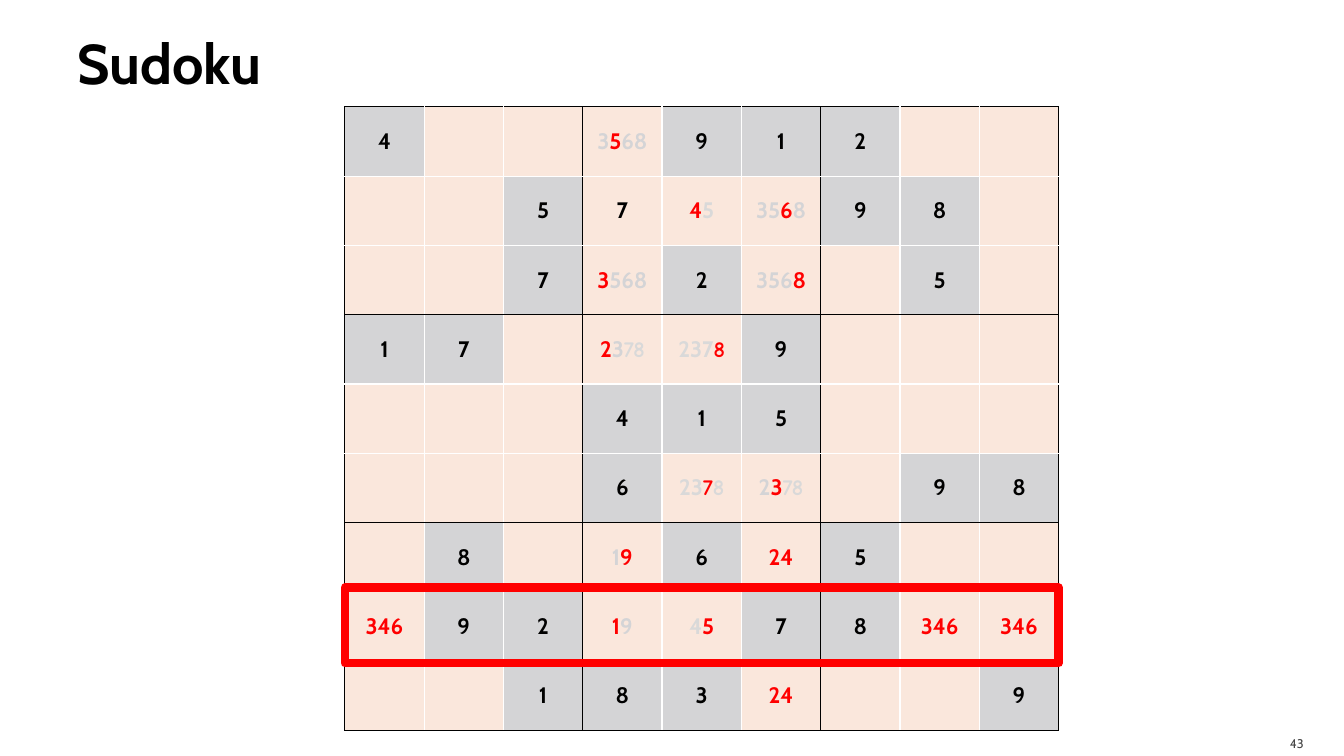
from dataclasses import dataclass

from lxml import etree
from pptx import Presentation
from pptx import util as u
from pptx.dml.color import RGBColor
from pptx.enum import shapes, text
from pptx.oxml import ns

BLACK, WHITE, RED = "000000", "FFFFFF", "FF0000"
GIVEN_FILL, OPEN_FILL = "D4D4D6", "FAE7DC"
GRID_LEFT, GRID_TOP, GRID_WIDTH, GRID_HEIGHT = 3.42, 1.06, 7.08, 6.19
SIZE, BOX = 9, 3
MAIN_FONT, SECOND_FONT = "Cabin", "Comic Neue"


@dataclass(frozen=True)
class DigitStyle:
    color: str
    font: str = MAIN_FONT


@dataclass(frozen=True)
class Label:
    words: str
    left: float
    top: float
    width: float
    height: float
    size: float
    color: str
    bold: bool
    align: text.PP_ALIGN
    insets: tuple[float, float, float, float]


DIGIT_STYLES = {
    "g": DigitStyle(BLACK),  # given digit, in a grey cell
    "k": DigitStyle(BLACK),
    "r": DigitStyle(RED),
    "f": DigitStyle("D4D4D6"),
    "p": DigitStyle("D9D9D9"),
    "R": DigitStyle(RED, SECOND_FONT),
    "P": DigitStyle("D9D9D9", SECOND_FONT),
}

# A dot is an empty cell; slashes part the digits by style letter.
PUZZLE = """
g4   .  .  f3/r5/f68  g9         g1         g2 .    .
.    .  g5 k7         r4/p5      f35/r6/f8  g9 g8   .
.    .  g7 r3/f568    g2         f356/r8    .  g5   .
g1   g7 .  r2/f3/P78  p237/R8    g9         .  .    .
.    .  .  g4         g1         g5         .  .    .
.    .  .  g6         p23/R7/P8  f2/r3/P78  .  g9   g8
.    g8 .  f1/r9      g6         r24        g5 .    .
r346 g9 g2 r1/f9      p4/r5      g7         g8 r346 r346
.    .  g1 g8         g3         r24        .  .    g9
"""

LABELS = [
    Label("Sudoku", 0.67, 0.08, 12, 1.08, 40, BLACK, True,
          text.PP_ALIGN.LEFT, (0.1, 0.05, 0.05, 0.05)),
    Label("43", 11.96, 7.2, 1.07, 0.3, 9, "454545", False,
          text.PP_ALIGN.RIGHT, (0.1, 0.05, 0.1, 0)),
]


def rgb(color: str) -> RGBColor:
    return RGBColor.from_string(color)


def add_text(paragraph, words: str, *, size: float, color: str,
             font: str = MAIN_FONT, bold: bool = False) -> None:
    run = paragraph.add_run()
    run.text = words
    run.font.name = font
    run.font.size = u.Pt(size)
    run.font.bold = bold
    run.font.color.rgb = rgb(color)


def add_label(slide, label: Label) -> None:
    box = slide.shapes.add_textbox(u.Inches(label.left), u.Inches(label.top),
                                   u.Inches(label.width), u.Inches(label.height))
    frame = box.text_frame
    frame.word_wrap = True
    frame.vertical_anchor = text.MSO_ANCHOR.MIDDLE
    (frame.margin_left, frame.margin_top,
     frame.margin_right, frame.margin_bottom) = map(u.Inches, label.insets)
    paragraph = frame.paragraphs[0]
    paragraph.alignment = label.align
    add_text(paragraph, label.words, size=label.size, color=label.color, bold=label.bold)


def set_borders(cell, row: int, column: int) -> None:
    """Draw black lines around each 3 by 3 box and white lines inside it."""
    at_box_edge = {
        "lnL": column % BOX == 0,
        "lnR": column % BOX == BOX - 1,
        "lnT": row % BOX == 0,
        "lnB": row % BOX == BOX - 1,
    }
    properties = cell._tc.get_or_add_tcPr()
    for tag, is_edge in at_box_edge.items():
        line = etree.SubElement(properties, ns.qn(f"a:{tag}"), w=str(u.Pt(1)))
        fill = etree.SubElement(line, ns.qn("a:solidFill"))
        etree.SubElement(fill, ns.qn("a:srgbClr"), val=BLACK if is_edge else WHITE)


def fill_cell(cell, token: str) -> None:
    cell.fill.solid()
    cell.fill.fore_color.rgb = rgb(GIVEN_FILL if token.startswith("g") else OPEN_FILL)
    cell.vertical_anchor = text.MSO_ANCHOR.MIDDLE
    if token == ".":
        return
    paragraph = cell.text_frame.paragraphs[0]
    paragraph.alignment = text.PP_ALIGN.CENTER
    for part in token.split("/"):
        style = DIGIT_STYLES[part[0]]
        add_text(paragraph, part[1:], size=16, color=style.color, font=style.font, bold=True)


def add_grid(slide) -> None:
    table = slide.shapes.add_table(SIZE, SIZE, u.Inches(GRID_LEFT), u.Inches(GRID_TOP),
                                   u.Inches(GRID_WIDTH), u.Inches(GRID_HEIGHT)).table
    table.first_row = table.horz_banding = False
    for column in table.columns:
        column.width = u.Inches(GRID_WIDTH / SIZE)
    for row in table.rows:
        row.height = u.Inches(GRID_HEIGHT / SIZE)
    for row_index, line in enumerate(PUZZLE.strip().splitlines()):
        for column_index, token in enumerate(line.split()):
            cell = table.cell(row_index, column_index)
            set_borders(cell, row_index, column_index)
            fill_cell(cell, token)


def add_row_highlight(slide) -> None:
    shape = slide.shapes.add_shape(shapes.MSO_SHAPE.RECTANGLE, u.Inches(GRID_LEFT),
                                   u.Inches(5.83), u.Inches(GRID_WIDTH), u.Inches(0.75))
    shape.shadow.inherit = False
    shape.fill.background()
    shape.line.color.rgb = rgb(RED)
    shape.line.width = u.Pt(6)


def main() -> None:
    presentation = Presentation()
    presentation.slide_width = u.Inches(13.33)
    presentation.slide_height = u.Inches(7.5)
    slide = presentation.slides.add_slide(presentation.slide_layouts[6])
    for label in LABELS:
        add_label(slide, label)
    add_grid(slide)
    add_row_highlight(slide)
    presentation.save("out.pptx")


if __name__ == "__main__":
    main()
